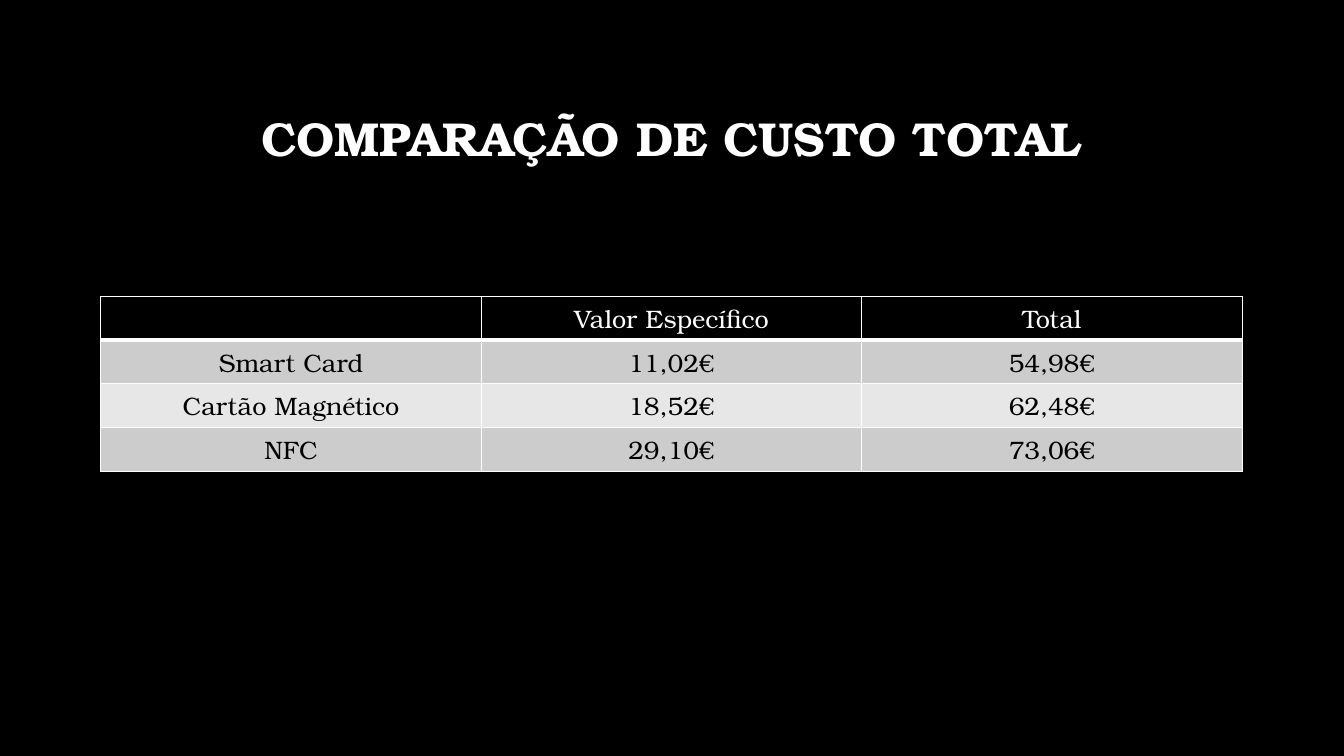
from dataclasses import dataclass

from lxml import etree
from pptx import Presentation, util as u
from pptx.dml import color
from pptx.enum import text
from pptx.oxml import ns

FONT = "TeX Gyre Bonum"
WHITE, BLACK = "FFFFFF", "000000"
DARK_BAND, LIGHT_BAND = "CCCCCC", "E7E7E7"
LEFT, WIDTH = u.Inches(1), u.Inches(11.32)
ROW_HEIGHT = u.Inches(0.41)


@dataclass
class CostRow:
    values: tuple[str, str, str]
    fill: str
    ink: str = BLACK
    top: float = 1
    bottom: float = 1


ROWS = [
    CostRow(("", "Valor Específico", "Total"), BLACK, WHITE, bottom=3),
    CostRow(("Smart Card", "11,02€", "54,98€"), DARK_BAND, top=3),
    CostRow(("Cartão Magnético", "18,52€", "62,48€"), LIGHT_BAND),
    CostRow(("NFC", "29,10€", "73,06€"), DARK_BAND),
]


def rgb(value: str) -> color.RGBColor:
    return color.RGBColor.from_string(value)


def paint(fill, value: str) -> None:
    fill.solid()
    fill.fore_color.rgb = rgb(value)


def write(frame, content: str, ink: str, **font_values) -> None:
    paragraph = frame.paragraphs[0]
    paragraph.alignment = text.PP_ALIGN.CENTER
    if not content:
        return
    run = paragraph.add_run()
    run.text = content
    for name, value in {"name": FONT, **font_values}.items():
        setattr(run.font, name, value)
    run.font.color.rgb = rgb(ink)


def add_borders(cell, widths: dict[str, float]) -> None:
    properties = cell._tc.get_or_add_tcPr()
    for side, width in widths.items():
        line = etree.SubElement(properties, ns.qn(f"a:ln{side}"), w=str(u.Pt(width)))
        fill = etree.SubElement(line, ns.qn("a:solidFill"))
        etree.SubElement(fill, ns.qn("a:srgbClr"), val=WHITE)


def add_title(slide) -> None:
    title = slide.shapes.title
    bounds = {"left": LEFT, "top": u.Inches(0.67), "width": WIDTH, "height": u.Inches(1.45)}
    for name, value in bounds.items():
        setattr(title, name, value)
    title.text_frame.vertical_anchor = text.MSO_ANCHOR.MIDDLE
    title.text_frame.paragraphs[0].line_spacing = 0.9
    write(title.text_frame, "COMPARAÇÃO DE CUSTO TOTAL", WHITE, size=u.Pt(34), bold=True)


def add_cost_table(slide, rows: list[CostRow]) -> None:
    table = slide.shapes.add_table(
        len(rows), len(rows[0].values), LEFT, u.Inches(2.94), WIDTH, ROW_HEIGHT * len(rows)
    ).table
    for table_row, row in zip(table.rows, rows):
        table_row.height = ROW_HEIGHT
        for cell, value in zip(table_row.cells, row.values):
            add_borders(cell, {"L": 1, "R": 1, "T": row.top, "B": row.bottom})
            paint(cell.fill, row.fill)
            write(cell.text_frame, value, row.ink, size=u.Pt(18), bold=False)


def main() -> None:
    presentation = Presentation()
    presentation.slide_width = u.Inches(13.33)
    presentation.slide_height = u.Inches(7.5)
    slide = presentation.slides.add_slide(presentation.slide_layouts[5])
    paint(slide.background.fill, BLACK)
    add_title(slide)
    add_cost_table(slide, ROWS)
    presentation.save("out.pptx")


if __name__ == "__main__":
    main()
